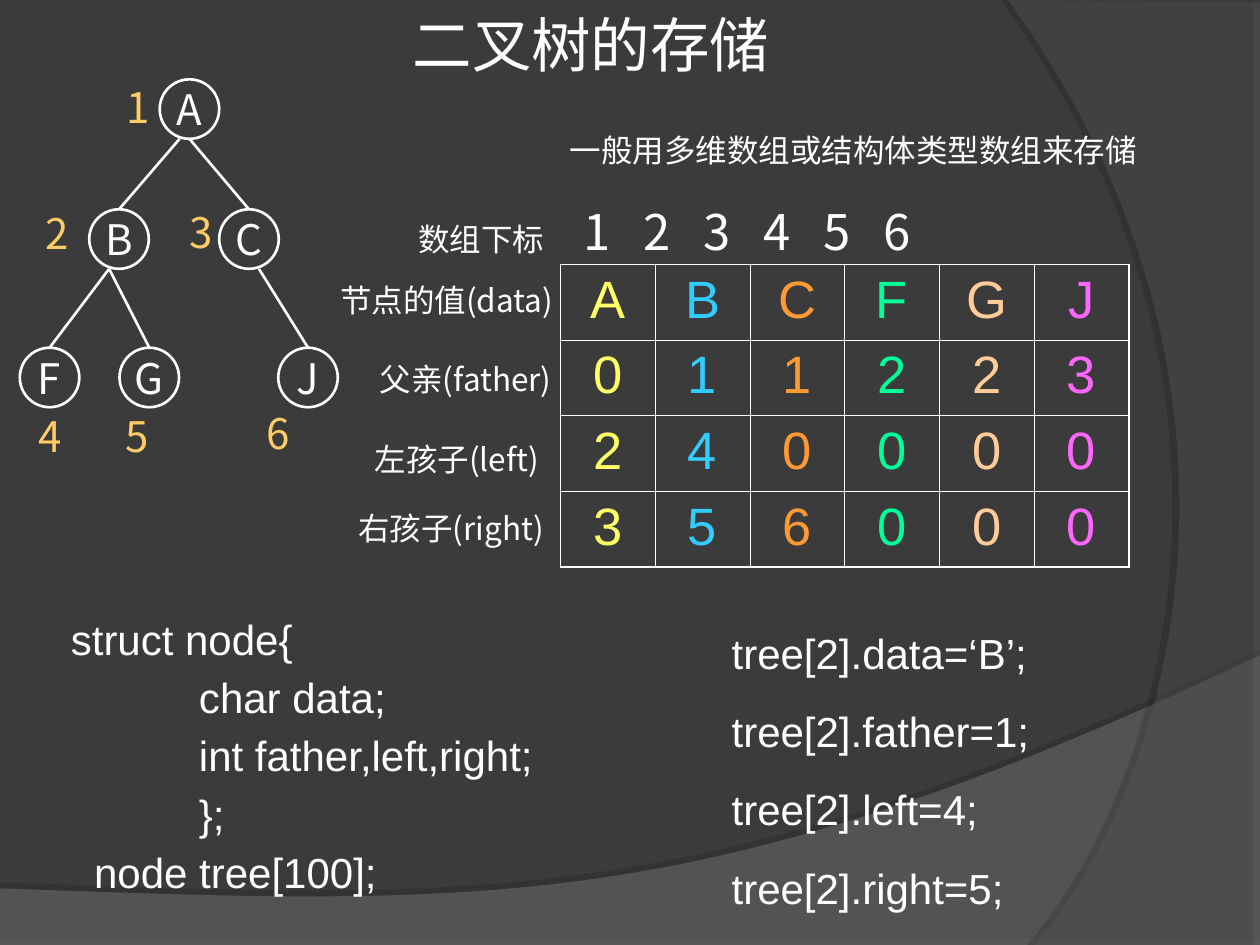
from dataclasses import dataclass

from lxml.etree import SubElement as Sub
from pptx import Presentation
from pptx.dml.color import RGBColor
from pptx.enum.shapes import MSO_CONNECTOR as Link, MSO_SHAPE as Shape
from pptx.enum.text import MSO_ANCHOR as Anchor, PP_ALIGN as Align
from pptx.oxml.ns import qn
from pptx.util import Cm, Pt

BACK = RGBColor(0x3B, 0x3B, 0x3B)
WHITE = RGBColor(0xFF, 0xFF, 0xFF)
GOLD = RGBColor(0xFF, 0xCC, 0x66)
LIGHT = RGBColor(0x7C, 0x7C, 0x7C)
GREY = RGBColor(0x59, 0x59, 0x59)
HUES = [
    RGBColor(0xFF, 0xFF, 0x66), RGBColor(0x33, 0xCC, 0xFF),
    RGBColor(0xFF, 0x99, 0x33), RGBColor(0x00, 0xFF, 0x99),
    RGBColor(0xFF, 0xCC, 0x99), RGBColor(0xFF, 0x66, 0xFF),
]
LATIN, HAN = "Arial", "Noto Sans CJK SC"
SIZE = 1.2  # node diameter in cm


@dataclass
class Node:
    """Tree node: its place, and the place of its index number."""
    name: str
    x: float
    y: float
    num_x: float
    num_y: float


@dataclass
class Edge:
    """Branch; shift moves its start from the middle of the parent."""
    top: str
    low: str
    shift: float


@dataclass
class Label:
    text: str
    x: float
    y: float
    w: float


@dataclass
class Wave:
    """Backdrop area: straight corners, then a Bezier curve."""
    edge: list
    curve: list
    color: RGBColor
    alpha: int
    dark: int
    dist: float
    angle: int


NODES = [
    Node("A", 3.22, 1.6, 2.31, 1.52), Node("B", 1.8, 4.22, 0.66, 4.06),
    Node("C", 4.42, 4.22, 3.58, 4.04), Node("F", 0.4, 7.01, 0.53, 8.15),
    Node("G", 2.41, 7.01, 2.29, 8.15), Node("J", 5.61, 7.01, 5.13, 8.08),
]
EDGES = [
    Edge("A", "B", -0.2), Edge("A", "C", 0), Edge("B", "F", -0.2),
    Edge("B", "G", -0.2), Edge("C", "J", 0.2),
]
LABELS = [
    Label("一般用多维数组或结构体类型数组来存储", 10.9, 2.51, 12.6),
    Label("数组下标", 7.9, 4.32, 3.61),
    Label("节点的值(data)", 6.3, 5.54, 5.41),
    Label("父亲(father)", 7.09, 7.14, 4.6),
    Label("左孩子(left)", 6.91, 8.74, 4.6),
    Label("右孩子(right)", 6.3, 10.13, 5.59),
]
WAVES = [
    Wave([(0, 19.05), (25.4, 19.05)],
         [(25.4, 13.21), (14.2, 18.52), (9.93, 18.26), (0, 17.91)],
         LIGHT, 45, 27, 3.5, 270),
    Wave([(25.4, 0.05), (25.4, 19.05)],
         [(20.85, 19.05), (23.75, 15.72), (25.86, 7.62), (20.32, 0)],
         GREY, 40, 37, 4, 180),
]
ROWS = ["ABCFGJ", "011223", "240000", "356000"]
STRUCT = [
    "  struct node{",
    "             char data;",
    "             int father,left,right;",
    "             };",
    "    node tree[100];",
]
USAGE = ["tree[2].data=‘B’;", "tree[2].father=1;",
         "tree[2].left=4;", "tree[2].right=5;"]


def style(par, size: float, face: str, color: RGBColor, align=None) -> None:
    par.alignment = align
    for run in par.runs:
        run.font.size, run.font.name = Pt(size), face
        run.font.color.rgb = color
        Sub(run.font._element, qn("a:ea"), typeface=face)


def add_text(slide, lines: list, x: float, y: float, w: float, h: float,
             size: float, face: str, color=WHITE, align=None,
             wrap=True, anchor=Anchor.TOP, gap=0, pitch=None):
    frame = slide.shapes.add_textbox(Cm(x), Cm(y), Cm(w), Cm(h)).text_frame
    frame.word_wrap, frame.vertical_anchor = wrap, anchor
    for i, line in enumerate(lines):
        par = frame.add_paragraph() if i else frame.paragraphs[0]
        par.text = line
        if pitch:
            par.line_spacing = pitch
        if i and gap:
            par.space_before = Pt(gap)
        style(par, size, face, color, align)
    return frame


def add_wave(slide, wave: Wave) -> None:
    a, b, c, d = wave.curve
    points = list(wave.edge)
    for i in range(41):
        t = i / 40
        u = 1 - t
        points.append(tuple(
            u**3 * a[k] + 3 * u * u * t * b[k] + 3 * u * t * t * c[k] + t**3 * d[k]
            for k in (0, 1)))
    path = [(Cm(x), Cm(y)) for x, y in points]
    form = slide.shapes.build_freeform(*path[0])
    form.add_line_segments(path[1:], close=True)
    area = form.convert_to_shape()
    area.fill.solid()
    area.fill.fore_color.rgb = wave.color
    area.line.fill.background()
    area.shadow.inherit = False
    props = area._element.spPr
    tint = props.find(qn("a:solidFill"))[0]
    Sub(tint, qn("a:alpha"), val=str(wave.alpha * 1000))
    shade = Sub(props.find(qn("a:effectLst")), qn("a:outerShdw"), blurRad="0",
                dist=str(Pt(wave.dist)), dir=str(wave.angle * 60000))
    black = Sub(shade, qn("a:srgbClr"), val="000000")
    Sub(black, qn("a:alpha"), val=str(wave.dark * 1000))


def add_node(slide, node: Node):
    disc = slide.shapes.add_shape(
        Shape.OVAL, Cm(node.x), Cm(node.y), Cm(SIZE), Cm(SIZE))
    disc.shadow.inherit = False
    disc.fill.solid()
    disc.fill.fore_color.rgb = BACK
    disc.line.color.rgb, disc.line.width = WHITE, Pt(1.5)
    frame = disc.text_frame
    frame.text, frame.word_wrap = node.name, False
    frame.vertical_anchor = Anchor.MIDDLE
    style(frame.paragraphs[0], 24, HAN, WHITE, Align.CENTER)
    return disc


def add_edge(slide, edge: Edge, discs: dict) -> None:
    top, low = discs[edge.top], discs[edge.low]
    x, y = top.left + top.width // 2 + Cm(edge.shift), top.top + top.height
    line = slide.shapes.add_connector(Link.STRAIGHT, x, y, low.left, low.top)
    line.end_connect(low, 0)
    line.line.color.rgb, line.line.width = WHITE, Pt(1.5)
    Sub(line._element.spPr, qn("a:effectLst"))


def add_grid(slide) -> None:
    rows, cols = len(ROWS), len(HUES)
    grid = slide.shapes.add_table(
        rows, cols, Cm(11.3), Cm(5.33), Cm(1.91 * cols), Cm(1.52 * rows)).table
    grid.first_row = grid.horz_banding = False
    for r, row in enumerate(ROWS):
        for c, value in enumerate(row):
            cell = grid.cell(r, c)
            outer = {"L": c == 0, "R": c == cols - 1,
                     "T": r == 0, "B": r == rows - 1}
            props = cell._tc.get_or_add_tcPr()
            for side, thick in outer.items():
                rule = Sub(props, qn(f"a:ln{side}"),
                           w=str(Pt(1.08 if thick else 0.45)))
                Sub(Sub(rule, qn("a:solidFill")), qn("a:srgbClr"), val=str(WHITE))
            cell.fill.background()
            cell.text_frame.text = value
            style(cell.text_frame.paragraphs[0], 30, LATIN, HUES[c], Align.CENTER)


def main() -> None:
    deck = Presentation()
    deck.slide_width, deck.slide_height = Cm(25.4), Cm(19.05)
    slide = deck.slides.add_slide(deck.slide_layouts[6])

    # Backdrop and title
    slide.background.fill.solid()
    slide.background.fill.fore_color.rgb = BACK
    for wave in WAVES:
        add_wave(slide, wave)
    add_text(slide, ["二叉树的存储"], 1.3, 0, 21.23, 1.75, 34, LATIN,
             align=Align.CENTER, anchor=Anchor.MIDDLE)

    # Tree
    discs = {node.name: add_node(slide, node) for node in NODES}
    for edge in EDGES:
        add_edge(slide, edge, discs)

    # Array table with its indices and labels
    add_grid(slide)
    heads = [str(i + 1) for i in range(len(NODES))]
    frame = add_text(slide, ["\t".join(heads)], 11.51, 3.94, 11.6, 2.64, 28, HAN)
    stops = Sub(frame.paragraphs[0]._p.get_or_add_pPr(), qn("a:tabLst"))
    for i in range(1, len(heads)):
        Sub(stops, qn("a:tab"), pos=str(Cm(1.21 * i)), algn="l")
    for label in LABELS:
        add_text(slide, [label.text], label.x, label.y, label.w, 1.02, 18, HAN,
                 align=Align.CENTER)

    # Code
    add_text(slide, STRUCT, 0.71, 12.6, 14.4, 5.6, 24, LATIN, gap=16, pitch=0.6)
    add_text(slide, USAGE, 14.5, 12.52, 8.99, 5.92, 24, LATIN, gap=16)

    # Node numbers
    for i, node in enumerate(NODES):
        add_text(slide, [heads[i]], node.num_x, node.num_y, 0.91, 1.27, 24, HAN,
                 GOLD, Align.CENTER, wrap=False, anchor=Anchor.MIDDLE)

    deck.save("out.pptx")


if __name__ == "__main__":
    main()
